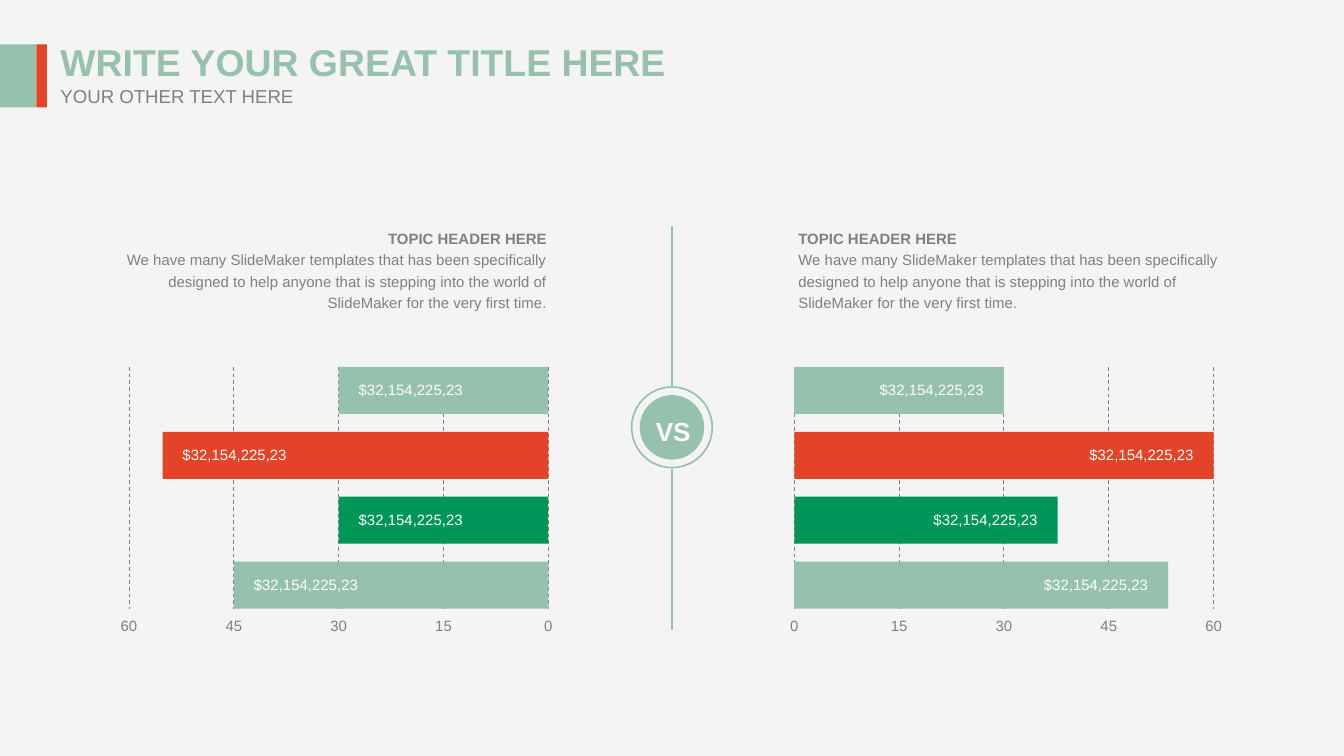
from lxml import etree
from pptx import Presentation
from pptx.dml.color import RGBColor
from pptx.enum.dml import MSO_LINE
from pptx.enum.shapes import MSO_CONNECTOR, MSO_SHAPE
from pptx.enum.text import MSO_ANCHOR, MSO_AUTO_SIZE, PP_ALIGN
from pptx.oxml.ns import qn
from pptx.util import Inches, Pt

LEFT, CENTER, RIGHT = PP_ALIGN.LEFT, PP_ALIGN.CENTER, PP_ALIGN.RIGHT
RECT, OVAL = MSO_SHAPE.RECTANGLE, MSO_SHAPE.OVAL
STRAIGHT, DASH = MSO_CONNECTOR.STRAIGHT, MSO_LINE.DASH
TOP, FIXED = MSO_ANCHOR.TOP, MSO_AUTO_SIZE.NONE

COLORS = {"mint": "95C1AD", "red": "E34326", "green": "009658",
          "gray": "808080", "white": "FFFFFF", "paper": "F4F4F4"}
FONT = "Arial"
CELL = 0.1
TICKS = (0, 15, 30, 45, 60)
UNIT = 0.52
BAR_TOP, BAR_STEP, BAR_HEIGHT = 27.3, 4.83, 3.5
BAR_COLORS = ("mint", "red", "green", "mint")
AMOUNT = "$32,154,225,23"
TOPIC = "TOPIC HEADER HERE"
DETAIL = ("We have many SlideMaker templates that has been specifically "
          "designed to help anyone that is stepping into the world of "
          "SlideMaker for the very first time.")


class Deck:
    """Style and current slide, measured in grid cells of a tenth of an inch."""

    def __init__(self, cols, rows):
        self.prs = Presentation()
        self.prs.slide_width, self.prs.slide_height = self.cells(cols, rows)
        self.s = self.prs.slides.add_slide(self.prs.slide_layouts[0])
        fill = self.s.background.fill
        fill.solid()
        fill.fore_color.rgb = self.color("paper")

    def cells(self, *lengths):
        return [Inches(n * CELL) for n in lengths]

    def color(self, name):
        return RGBColor.from_string(COLORS[name])

    def set_text(self, sp, lines, size, color, align=LEFT, bold=False,
                 inset=True, wrap=False, spacing=1.0):
        tf = sp.text_frame
        tf.word_wrap = wrap
        tf.auto_size = FIXED
        tf.vertical_anchor = TOP
        if not inset:
            tf.margin_left = tf.margin_right = tf.margin_top = tf.margin_bottom = 0
        tf.text = "\n".join(lines)
        for i, p in enumerate(tf.paragraphs):
            p.alignment = align
            p.line_spacing = spacing
            p.space_before = Pt(0)
            p.font.name = FONT
            p.font.size = Pt(size)
            p.font.bold = bold and i == 0
            p.font.color.rgb = self.color(color)

    def placeholder(self, index, box, line, size, color, bold=False):
        sp = self.s.placeholders[index]
        sp.left, sp.top, sp.width, sp.height = self.cells(*box)
        self.set_text(sp, [line], size, color, bold=bold)

    def text(self, box, lines, size, color, **style):
        sp = self.s.shapes.add_textbox(*self.cells(*box))
        self.set_text(sp, lines, size, color, **style)

    def shape(self, kind, box, fill=None, line=None):
        sp = self.s.shapes.add_shape(kind, *self.cells(*box))
        sp.shadow.inherit = False
        if fill:
            sp.fill.solid()
            sp.fill.fore_color.rgb = self.color(fill)
        else:
            sp.fill.background()
        if line:
            sp.line.color.rgb = self.color(line)
            sp.line.width = Pt(0.88)
        else:
            sp.line.fill.background()

    def vertical(self, x, top, bottom, color, width, dash=None):
        ends = self.cells(x, top, x, bottom)
        line = self.s.shapes.add_connector(STRAIGHT, *ends)
        line.line.color.rgb = self.color(color)
        line.line.width = Pt(width)
        if dash:
            line.line.dash_style = dash
        etree.SubElement(line._element.spPr, qn("a:effectLst"))

    def bars(self, zero, direction, values):
        for tick in TICKS:
            x = zero + direction * tick * UNIT
            self.vertical(x, BAR_TOP, 45.3, "gray", 0.5, DASH)
            self.text((x - 0.6, 45.9, 1.2, 1.3), [str(tick)], 8, "gray",
                      align=CENTER, inset=False)
        for i, (value, color) in enumerate(zip(values, BAR_COLORS)):
            top = BAR_TOP + i * BAR_STEP
            end = zero + direction * value * UNIT
            self.shape(RECT, (min(zero, end), top, value * UNIT, BAR_HEIGHT), color)
            left = end + 0.5 if direction < 0 else end - 10.3
            self.text((left, top + 0.55, 9.8, 2.3), [AMOUNT], 8, "white",
                      align=LEFT if direction < 0 else RIGHT)

    def topic(self, left, align):
        self.text((left, 16.8, 31.5, 6.4), [TOPIC, DETAIL], 8, "gray",
                  align=align, bold=True, inset=False, wrap=True, spacing=1.2)


def main():
    deck = Deck(100, 56.25)
    deck.placeholder(0, (3.5, 2.4, 47.3, 4.3), "WRITE YOUR GREAT TITLE HERE",
                     20, "mint", bold=True)
    deck.placeholder(1, (3.5, 5.8, 19.4, 2.7), "YOUR OTHER TEXT HERE", 10, "gray")
    deck.shape(RECT, (2.7, 3.3, 0.8, 4.7), "red")
    deck.shape(RECT, (0, 3.3, 2.7, 4.7), "mint")

    deck.shape(OVAL, (47.6, 29.4, 4.8, 4.8), "mint")
    deck.shape(OVAL, (47, 28.8, 6, 6), line="mint")
    for top, bottom in ((16.8, 28.8), (34.9, 46.9)):
        deck.vertical(50, top, bottom, "mint", 0.88)
    deck.text((48.8, 30.9, 2.6, 2.3), ["VS"], 14, "white",
              align=CENTER, bold=True, inset=False)

    deck.topic(9.2, RIGHT)
    deck.topic(59.4, LEFT)
    deck.bars(40.8, -1, (30, 55.2, 30, 45))
    deck.bars(59.1, 1, (30, 60, 37.7, 53.5))
    deck.prs.save("out.pptx")


if __name__ == "__main__":
    main()
